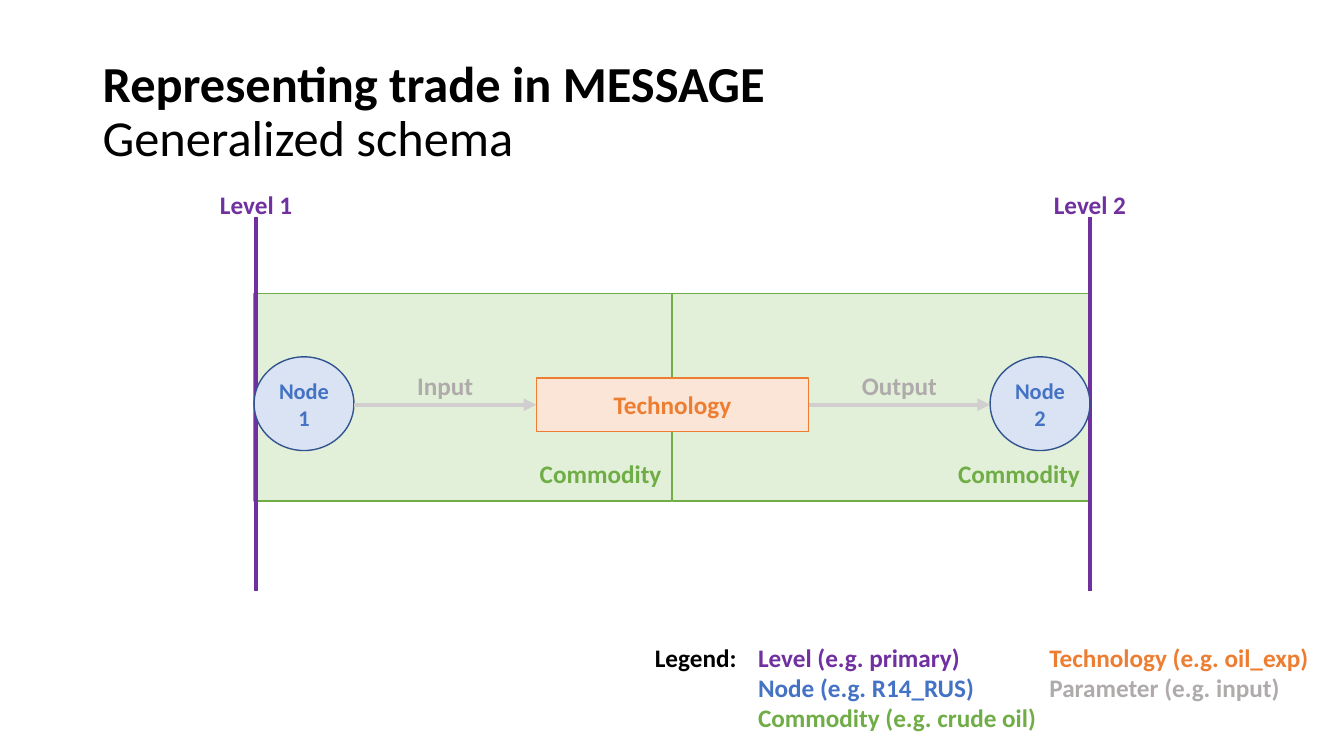
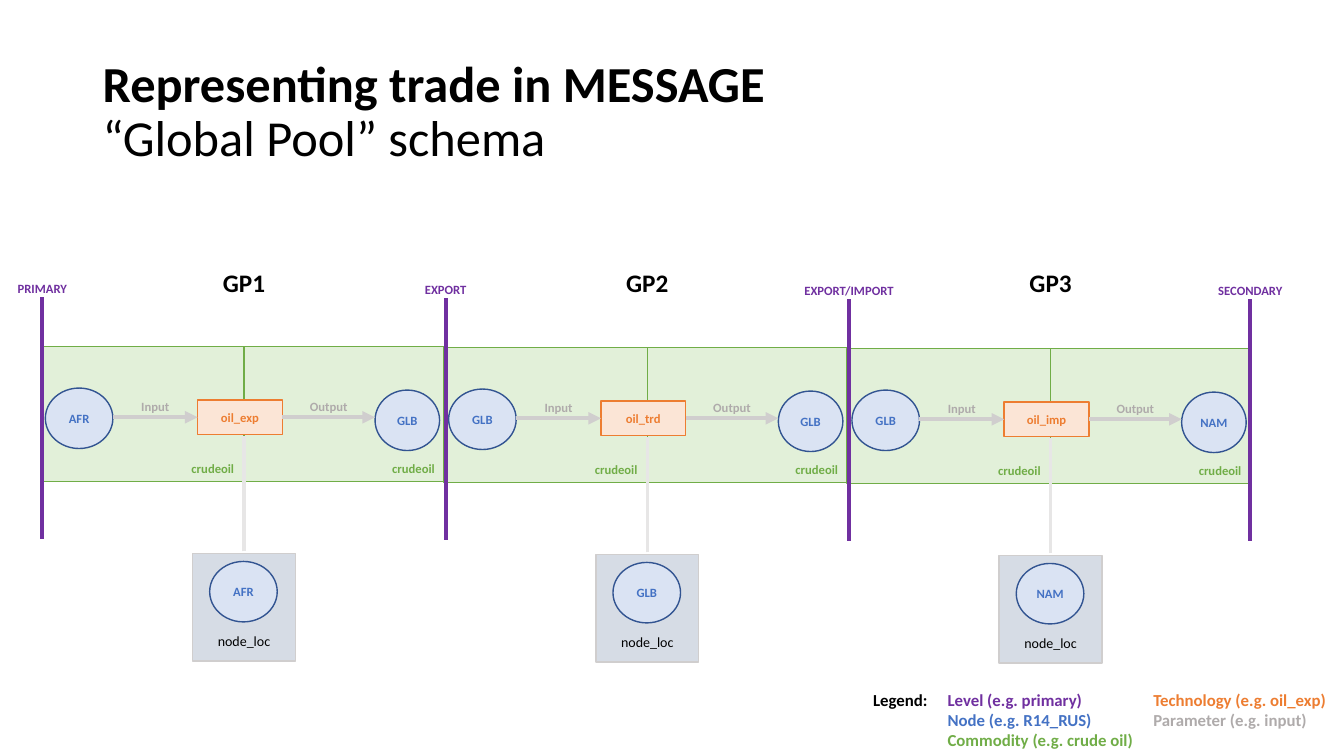
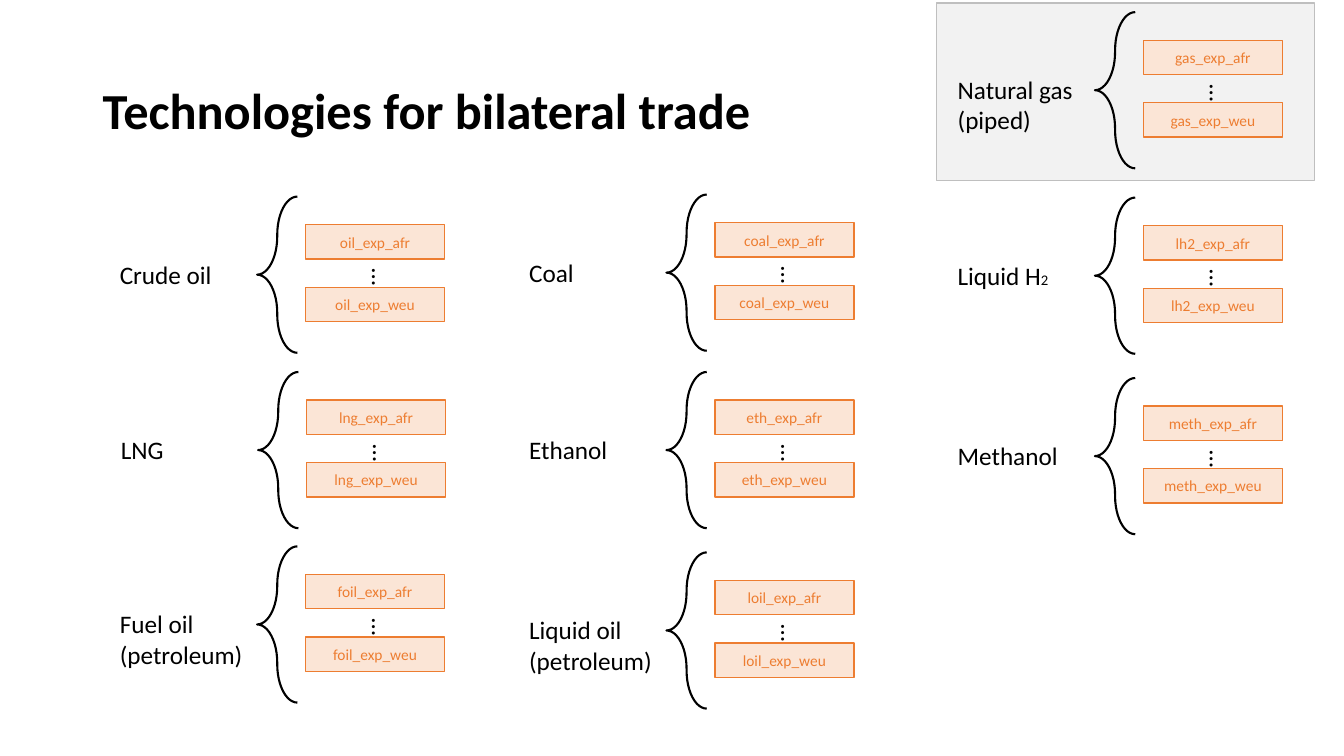
"""Build three slides on how trade is represented in MESSAGE."""
from dataclasses import dataclass
from typing import NamedTuple

from lxml.etree import SubElement
from pptx import Presentation
from pptx.dml.color import RGBColor
from pptx.enum.shapes import MSO_CONNECTOR, MSO_SHAPE
from pptx.enum.text import MSO_ANCHOR, MSO_AUTO_SIZE, PP_ALIGN
from pptx.oxml.ns import qn
from pptx.shapes.autoshape import Shape
from pptx.slide import Slide
from pptx.text.text import TextFrame
from pptx.util import Inches, Pt

FONT = "Calibri"
BLACK = RGBColor(0x00, 0x00, 0x00)
PURPLE = RGBColor(0x70, 0x30, 0xA0)
BLUE = RGBColor(0x44, 0x72, 0xC4)
NAVY = RGBColor(0x32, 0x54, 0x91)
PALE_BLUE = RGBColor(0xDA, 0xE3, 0xF3)
GREEN = RGBColor(0x70, 0xAD, 0x47)
PALE_GREEN = RGBColor(0xE2, 0xF0, 0xD9)
ORANGE = RGBColor(0xED, 0x7D, 0x31)
PALE_ORANGE = RGBColor(0xFB, 0xE5, 0xD6)
GRAY = RGBColor(0xAF, 0xAB, 0xAB)
ARROW_GRAY = RGBColor(0xD0, 0xCE, 0xCE)
LINK_GRAY = RGBColor(0xE7, 0xE6, 0xE6)
SLATE = RGBColor(0xD6, 0xDC, 0xE5)
PANEL_FILL = RGBColor(0xF2, 0xF2, 0xF2)
PANEL_LINE = RGBColor(0xBF, 0xBF, 0xBF)


class Frame(NamedTuple):
    left: float
    top: float
    width: float
    height: float

    @property
    def right(self) -> float:
        return self.left + self.width

    @property
    def middle(self) -> float:
        return self.top + self.height / 2

    def shifted(self, across: float, down: float) -> "Frame":
        return Frame(self.left + across, self.top + down, self.width, self.height)


class Style(NamedTuple):
    fill: RGBColor
    line: RGBColor
    text: RGBColor


class Span(NamedTuple):
    text: str
    color: RGBColor


@dataclass(frozen=True)
class ChainLayout:
    halves: tuple[Frame, Frame]
    technology: Frame
    nodes: tuple[Frame, Frame]
    levels: tuple[float, float]
    level_top: float
    level_height: float
    level_label_top: float
    parameter_top: float
    parameter_width: float
    label_height: float
    size: float
    node_size: float
    node_inset: float
    commodity_inset: float


@dataclass(frozen=True)
class Chain:
    levels: tuple[str, ...]
    nodes: tuple[str, str]
    technology: str
    commodity: str
    location: str = ""


@dataclass(frozen=True)
class LegendLayout:
    top: float
    size: float
    columns: tuple[tuple[float, float], ...]


@dataclass(frozen=True)
class Fuel:
    lines: tuple[str, ...]
    prefix: str
    left: float
    top: float
    subscript: str = ""


NODE = Style(PALE_BLUE, NAVY, BLUE)
TECHNOLOGY = Style(PALE_ORANGE, ORANGE, ORANGE)
COMMODITY = Style(PALE_GREEN, GREEN, GREEN)
LOCATION = Style(SLATE, ARROW_GRAY, BLACK)
PANEL = Style(PANEL_FILL, PANEL_LINE, BLACK)

LEGEND = (
    (Span("Legend:", BLACK),),
    (
        Span("Level (e.g. primary)", PURPLE),
        Span("Node (e.g. R14_RUS)", BLUE),
        Span("Commodity (e.g. crude oil)", GREEN),
    ),
    (Span("Technology (e.g. oil_exp)", ORANGE), Span("Parameter (e.g. input)", GRAY)),
)
LARGE_LEGEND = LegendLayout(6.32, 18, ((6.29, 1.22), (7.42, 3), (10.31, 2.83)))
SMALL_LEGEND = LegendLayout(6.79, 12, ((8.5, 0.86), (9.3, 2.12), (11.34, 1.99)))

LARGE_CHAIN = ChainLayout(
    halves=(Frame(2.52, 2.91, 4.14, 2.06), Frame(6.67, 2.91, 4.14, 2.06)),
    technology=Frame(5.32, 3.75, 2.7, 0.53),
    nodes=(Frame(2.52, 3.54, 0.99, 0.93), Frame(9.82, 3.54, 0.99, 0.93)),
    levels=(2.54, 10.81),
    level_top=2.15,
    level_height=3.71,
    level_label_top=1.83,
    parameter_top=3.62,
    parameter_width=1.22,
    label_height=0.4,
    size=18,
    node_size=16,
    node_inset=0.1,
    commodity_inset=0.12,
)
SMALL_CHAIN = ChainLayout(
    halves=(Frame(0.4, 3.44, 2.02, 1.34), Frame(2.39, 3.44, 2.02, 1.34)),
    technology=Frame(1.96, 3.97, 0.84, 0.34),
    nodes=(Frame(0.45, 3.85, 0.67, 0.6), Frame(3.72, 3.87, 0.64, 0.6)),
    levels=(0.42, 4.4),
    level_top=2.95,
    level_height=2.4,
    level_label_top=2.74,
    parameter_top=3.91,
    parameter_width=0.84,
    label_height=0.25,
    size=9,
    node_size=9,
    node_inset=0,
    commodity_inset=0.06,
)
LOCATION_FRAME = Frame(1.91, 5.49, 1.02, 1.07)
LOCATION_NODE = Frame(2.08, 5.57, 0.67, 0.6)
STAGE_STEP = (4, 0.01)

GENERAL_CHAIN = Chain(("Level 1", "Level 2"), ("Node 1", "Node 2"), "Technology", "Commodity")
POOL_CHAINS = (
    Chain(("PRIMARY",), ("AFR", "GLB"), "oil_exp", "crudeoil", "AFR"),
    Chain(("EXPORT",), ("GLB", "GLB"), "oil_trd", "crudeoil", "GLB"),
    Chain(("EXPORT/IMPORT", "SECONDARY"), ("GLB", "NAM"), "oil_imp", "crudeoil", "NAM"),
)
FUELS = (
    Fuel(("Natural gas", "(piped)"), "gas", 10.86, 0.12),
    Fuel(("Crude oil",), "oil", 2.55, 1.95),
    Fuel(("Coal",), "coal", 6.61, 1.93),
    Fuel(("LNG",), "lng", 2.56, 3.69),
    Fuel(("Ethanol",), "eth", 6.61, 3.69),
    Fuel(("Fuel oil", "(petroleum)"), "foil", 2.55, 5.42),
    Fuel(("Methanol",), "meth", 10.86, 3.75),
    Fuel(("Liquid oil", "(petroleum)"), "loil", 6.61, 5.48),
    Fuel(("Liquid H",), "lh2", 10.86, 1.96, "2"),
)


def lengths(frame: Frame) -> tuple[Inches, ...]:
    return tuple(Inches(length) for length in frame)


def write(text_frame: TextFrame, spans: tuple[Span, ...], size: float, bold: bool, align: PP_ALIGN) -> None:
    text_frame.word_wrap = True
    for index, span in enumerate(spans):
        para = text_frame.add_paragraph() if index else text_frame.paragraphs[0]
        para.alignment = align
        para.font.name = FONT
        para.font.size = Pt(size)
        para.font.bold = bold
        para.font.color.rgb = span.color
        para.add_run().text = span.text


def add_label(
    page: Slide,
    frame: Frame,
    spans: tuple[Span, ...],
    size: float,
    bold: bool = True,
    align: PP_ALIGN = PP_ALIGN.CENTER,
) -> Shape:
    box = page.shapes.add_textbox(*lengths(frame))
    write(box.text_frame, spans, size, bold, align)
    box.text_frame.auto_size = MSO_AUTO_SIZE.SHAPE_TO_FIT_TEXT
    return box


def add_box(
    page: Slide,
    frame: Frame,
    style: Style,
    text: str = "",
    size: float = 18,
    bold: bool = True,
    kind: MSO_SHAPE = MSO_SHAPE.RECTANGLE,
    align: PP_ALIGN = PP_ALIGN.CENTER,
) -> Shape:
    box = page.shapes.add_shape(kind, *lengths(frame))
    box.shadow.inherit = False
    box.fill.solid()
    box.fill.fore_color.rgb = style.fill
    box.line.color.rgb = style.line
    box.line.width = Pt(1)
    box.text_frame.vertical_anchor = MSO_ANCHOR.MIDDLE
    if text:
        write(box.text_frame, (Span(text, style.text),), size, bold, align)
    return box


def add_footed_box(
    page: Slide, frame: Frame, style: Style, text: str, size: float, bold: bool, align: PP_ALIGN, inset: float
) -> None:
    box = add_box(page, frame, style, text, size, bold, align=align)
    box.text_frame.vertical_anchor = MSO_ANCHOR.BOTTOM
    box.text_frame.margin_bottom = Inches(inset)


def add_node(page: Slide, frame: Frame, text: str, size: float, inset: float) -> None:
    node = add_box(page, frame, NODE, text, size, kind=MSO_SHAPE.OVAL)
    node.text_frame.margin_left = node.text_frame.margin_right = Inches(inset)


def add_line(
    page: Slide,
    start: tuple[float, float],
    end: tuple[float, float],
    color: RGBColor,
    width: float = 3,
    arrow: bool = False,
) -> None:
    points = (Inches(length) for length in (*start, *end))
    line = page.shapes.add_connector(MSO_CONNECTOR.STRAIGHT, *points)
    line.line.color.rgb = color
    line.line.width = Pt(width)
    if arrow:
        SubElement(line.line._get_or_add_ln(), qn("a:tailEnd"), type="triangle")
    SubElement(line._element.spPr, qn("a:effectLst"))


def add_title(page: Slide, heading: str, subtitle: str = "") -> None:
    box = page.shapes.add_textbox(*lengths(Frame(0.92, 0.4, 11.5, 1.45)))
    box.text_frame.vertical_anchor = MSO_ANCHOR.MIDDLE
    write(box.text_frame, (Span(heading, BLACK),), 36, True, PP_ALIGN.LEFT)
    para = box.text_frame.paragraphs[0]
    para.line_spacing = 0.9
    if subtitle:
        para.add_line_break()
        span = para.add_run()
        span.text = subtitle
        span.font.bold = False


def add_legend(page: Slide, layout: LegendLayout) -> None:
    for (left, width), spans in zip(layout.columns, LEGEND):
        height = 0.1 + len(spans) * layout.size / 60
        align = PP_ALIGN.CENTER if len(spans) == 1 else PP_ALIGN.LEFT
        add_label(page, Frame(left, layout.top, width, height), spans, layout.size, align=align)


def add_chain(page: Slide, layout: ChainLayout, chain: Chain, across: float = 0, down: float = 0) -> None:
    for half in reversed(layout.halves):
        add_footed_box(
            page, half.shifted(across, down), COMMODITY, chain.commodity,
            layout.size, True, PP_ALIGN.RIGHT, layout.commodity_inset,
        )
    for level, name in zip(layout.levels, chain.levels):
        center, top = level + across, layout.level_top + down
        width = min(1.22, 2 * center)
        label = Frame(center - width / 2, layout.level_label_top + down, width, layout.label_height)
        add_line(page, (center, top), (center, top + layout.level_height), PURPLE)
        add_label(page, label, (Span(name, PURPLE),), layout.size)

    technology = layout.technology.shifted(across, down)
    source, target = (node.shifted(across, down) for node in layout.nodes)
    add_box(page, technology, TECHNOLOGY, chain.technology, layout.size)
    for frame, name in zip((source, target), chain.nodes):
        add_node(page, frame, name, layout.node_size, layout.node_inset)
    arrows = (("Input", source.right, technology.left), ("Output", technology.right, target.left))
    for name, start, end in arrows:
        add_line(page, (start, technology.middle), (end, technology.middle), ARROW_GRAY, arrow=True)
        left = (start + end - layout.parameter_width) / 2
        label = Frame(left, layout.parameter_top + down, layout.parameter_width, layout.label_height)
        add_label(page, label, (Span(name, GRAY),), layout.size)


def add_location(page: Slide, name: str, across: float, down: float) -> None:
    frame = LOCATION_FRAME.shifted(across, down)
    center = frame.left + frame.width / 2
    add_footed_box(page, frame, LOCATION, "node_loc", 10, False, PP_ALIGN.CENTER, 0.12)
    add_node(page, LOCATION_NODE.shifted(across, down), name, 9, 0)
    add_line(page, (center, frame.top - 0.02), (center, frame.top - 1.16), LINK_GRAY, 2.25)


def add_fuel(page: Slide, fuel: Fuel) -> None:
    for region, down in (("afr", 0.28), ("weu", 0.9)):
        frame = Frame(0.48, down, 1.38, 0.34).shifted(fuel.left, fuel.top)
        add_box(page, frame, TECHNOLOGY, f"{fuel.prefix}_exp_{region}", 11, False)

    dots = add_label(
        page, Frame(0.99, 0.62, 0.5, 0.26).shifted(fuel.left, fuel.top), (Span("…", BLACK),), 18, False
    )
    dots.text_frame.vertical_anchor = MSO_ANCHOR.MIDDLE
    dots.text_frame._txBody.bodyPr.set("vert", "vert")

    label = add_label(
        page,
        Frame(-1.46, 0.57, 1.66, 0.1 + 0.3 * len(fuel.lines)).shifted(fuel.left, fuel.top),
        tuple(Span(line, BLACK) for line in fuel.lines),
        18,
        False,
        PP_ALIGN.LEFT,
    )
    if fuel.subscript:
        span = label.text_frame.paragraphs[-1].add_run()
        span.text = fuel.subscript
        span.font.size = Pt(10.5)

    brace = page.shapes.add_shape(MSO_SHAPE.LEFT_BRACE, *lengths(Frame(fuel.left, fuel.top, 0.4, 1.55)))
    brace.shadow.inherit = False
    brace.fill.background()
    brace.line.color.rgb = BLACK
    brace.line.width = Pt(1.5)
    brace.adjustments[0] = 0.95
    brace.adjustments[1] = 0.5


def main() -> None:
    deck = Presentation()
    deck.slide_width, deck.slide_height = Inches(13.33), Inches(7.5)
    general, pool, bilateral = (deck.slides.add_slide(deck.slide_layouts[6]) for _ in range(3))

    add_title(general, "Representing trade in MESSAGE", "Generalized schema")
    add_chain(general, LARGE_CHAIN, GENERAL_CHAIN)
    add_legend(general, LARGE_LEGEND)

    add_title(pool, "Representing trade in MESSAGE", "“Global Pool” schema")
    add_legend(pool, SMALL_LEGEND)
    for index, chain in enumerate(POOL_CHAINS):
        across, down = (index * step for step in STAGE_STEP)
        add_chain(pool, SMALL_CHAIN, chain, across, down)
        add_location(pool, chain.location, across, down)
        add_label(pool, Frame(2.08 + across, 2.6, 0.68, 0.4), (Span(f"GP{index + 1}", BLACK),), 18)

    add_box(bilateral, Frame(9.29, 0.03, 3.75, 1.76), PANEL)
    add_title(bilateral, "Technologies for bilateral trade")
    for fuel in FUELS:
        add_fuel(bilateral, fuel)

    deck.save("out.pptx")


if __name__ == "__main__":
    main()
